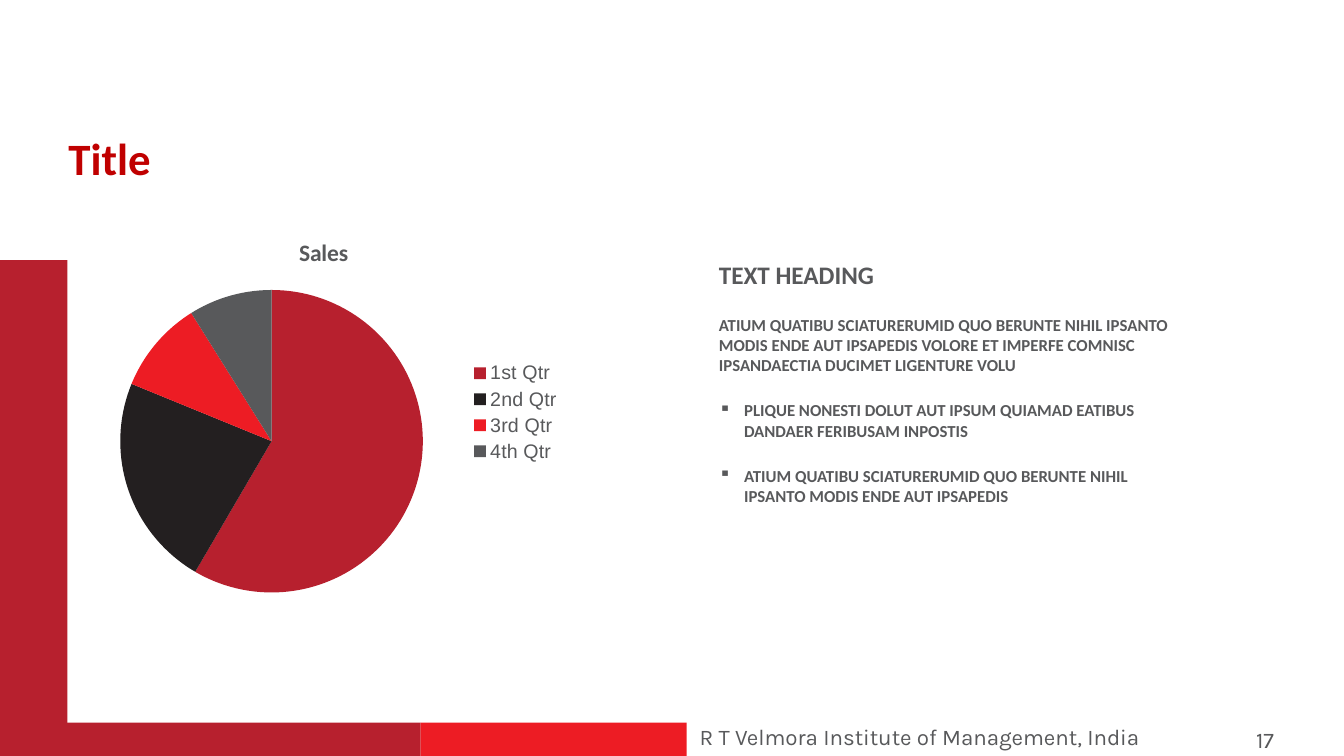
from lxml.etree import SubElement
from pptx import Presentation
from pptx.chart.data import CategoryChartData
from pptx.dml.color import RGBColor
from pptx.enum.chart import XL_CHART_TYPE, XL_LEGEND_POSITION
from pptx.enum.shapes import MSO_SHAPE
from pptx.oxml import parse_xml
from pptx.oxml.ns import nsdecls, qn
from pptx.util import Inches, Pt

CRIMSON = RGBColor(0xB7, 0x20, 0x2E)
RED = RGBColor(0xED, 0x1C, 0x24)
TITLE_RED = RGBColor(0xC0, 0x00, 0x00)
BLACK = RGBColor(0x23, 0x1F, 0x20)
GRAY = RGBColor(0x58, 0x59, 0x5B)

SALES = {"1st Qtr": 59, "2nd Qtr": 23, "3rd Qtr": 10, "4th Qtr": 9}
SLICE_COLORS = [CRIMSON, BLACK, RED, GRAY]
PIE_AREA = {"x": 0.09, "y": 0.18, "w": 0.61, "h": 0.79}
BODY = [
    ("TEXT HEADING", 18, False),
    ("ATIUM QUATIBU SCIATURERUMID QUO BERUNTE NIHIL IPSANTO MODIS ENDE AUT "
     "IPSAPEDIS VOLORE ET IMPERFE COMNISC IPSANDAECTIA DUCIMET LIGENTURE VOLU", 12, False),
    ("PLIQUE NONESTI DOLUT AUT IPSUM QUIAMAD EATIBUS DANDAER FERIBUSAM INPOSTIS", 12, True),
    ("ATIUM QUATIBU SCIATURERUMID QUO BERUNTE NIHIL IPSANTO MODIS ENDE AUT IPSAPEDIS", 12, True),
]


class SlideBuilder:
    heading_font = "Calibri"
    footer_font = "Karla"
    chart_font = "Arial"

    def __init__(self, slide):
        self.s = slide

    def style(self, font, name, size, color, bold=False):
        font.name = name
        font.size = Pt(size)
        font.bold = bold
        font.color.rgb = color

    def bar(self, x, y, w, h, color):
        sp = self.s.shapes.add_shape(
            MSO_SHAPE.RECTANGLE, Inches(x), Inches(y), Inches(w), Inches(h))
        sp.shadow.inherit = False
        sp.fill.solid()
        sp.fill.fore_color.rgb = color
        sp.line.fill.background()

    def frame(self, x, y, w, h, wrap=True):
        sp = self.s.shapes.add_textbox(Inches(x), Inches(y), Inches(w), Inches(h))
        tf = sp.text_frame
        tf.word_wrap = wrap
        return tf

    def label(self, text, x, y, w, h, name, size, color, bold=False, wrap=True):
        p = self.frame(x, y, w, h, wrap).paragraphs[0]
        p.text = text
        self.style(p.font, name, size, color, bold)

    def bullet(self, p):
        pPr = p._p.get_or_add_pPr()
        pPr.set("marL", str(Inches(0.25)))
        pPr.set("indent", str(-Inches(0.25)))
        bu = parse_xml(f'<a:buChar {nsdecls("a")} char="▪"/>')
        pPr.insert_element_before(bu, "a:tabLst", "a:defRPr", "a:extLst")

    def body(self, items, x, y, w, h):
        tf = self.frame(x, y, w, h)
        tf.margin_left = tf.margin_right = Inches(0.13)
        tf.margin_top = tf.margin_bottom = Inches(0.07)
        for i, (text, size, bulleted) in enumerate(items):
            p = tf.add_paragraph() if i else tf.paragraphs[0]
            p.text = text
            p.space_before = Pt(18)
            self.style(p.font, self.heading_font, size, GRAY, True)
            if bulleted:
                self.bullet(p)

    def pie(self, title, values, colors, x, y, w, h):
        data = CategoryChartData()
        data.categories = list(values)
        data.add_series(title, list(values.values()))
        chart = self.s.shapes.add_chart(
            XL_CHART_TYPE.PIE, Inches(x), Inches(y), Inches(w), Inches(h), data).chart
        self.style(chart.font, self.chart_font, 14, GRAY)
        chart.has_title = True
        p = chart.chart_title.text_frame.paragraphs[0]
        p.text = title
        self.style(p.font, self.heading_font, 16.8, GRAY, True)
        self.style(p.runs[0].font, self.heading_font, 16.8, GRAY, True)
        chart.has_legend = True
        chart.legend.position = XL_LEGEND_POSITION.RIGHT
        chart.legend.include_in_layout = False
        plot = chart.plots[0]
        plot.vary_by_categories = True
        for i, color in enumerate(colors):
            fill = plot.series[0].points[i].format.fill
            fill.solid()
            fill.fore_color.rgb = color
        self.place_plot(chart._chartSpace.chart.plotArea)

    def place_plot(self, area):
        for old in area.findall(qn("c:layout")):
            area.remove(old)
        layout = parse_xml(f'<c:layout {nsdecls("c")}/>')
        area.insert(0, layout)
        manual = SubElement(layout, qn("c:manualLayout"))
        settings = {"layoutTarget": "inner", "xMode": "edge", "yMode": "edge", **PIE_AREA}
        for tag, val in settings.items():
            SubElement(manual, qn(f"c:{tag}")).set("val", str(val))


def main():
    prs = Presentation()
    prs.slide_width = Inches(13.33)
    prs.slide_height = Inches(7.5)
    s = SlideBuilder(prs.slides.add_slide(prs.slide_layouts[6]))

    s.label("R T Velmora Institute of Management, India", 6.84, 7.13, 5.09, 0.37,
            s.footer_font, 16, GRAY)
    s.bar(0, 2.58, 0.67, 4.92, CRIMSON)
    s.bar(4.17, 7.17, 2.64, 0.33, RED)
    s.bar(0, 7.17, 4.17, 0.33, CRIMSON)
    s.pie("Sales", SALES, SLICE_COLORS, 0.75, 2.17, 4.92, 3.84)
    s.label("Title", 0.58, 1.25, 1.11, 0.64, s.heading_font, 32, TITLE_RED,
            bold=True, wrap=False)
    s.body(BODY, 7, 2.5, 4.75, 2.75)
    s.label("17", 12.36, 7.15, 0.87, 0.4, s.footer_font, 16, GRAY)

    prs.save("out.pptx")


if __name__ == "__main__":
    main()
